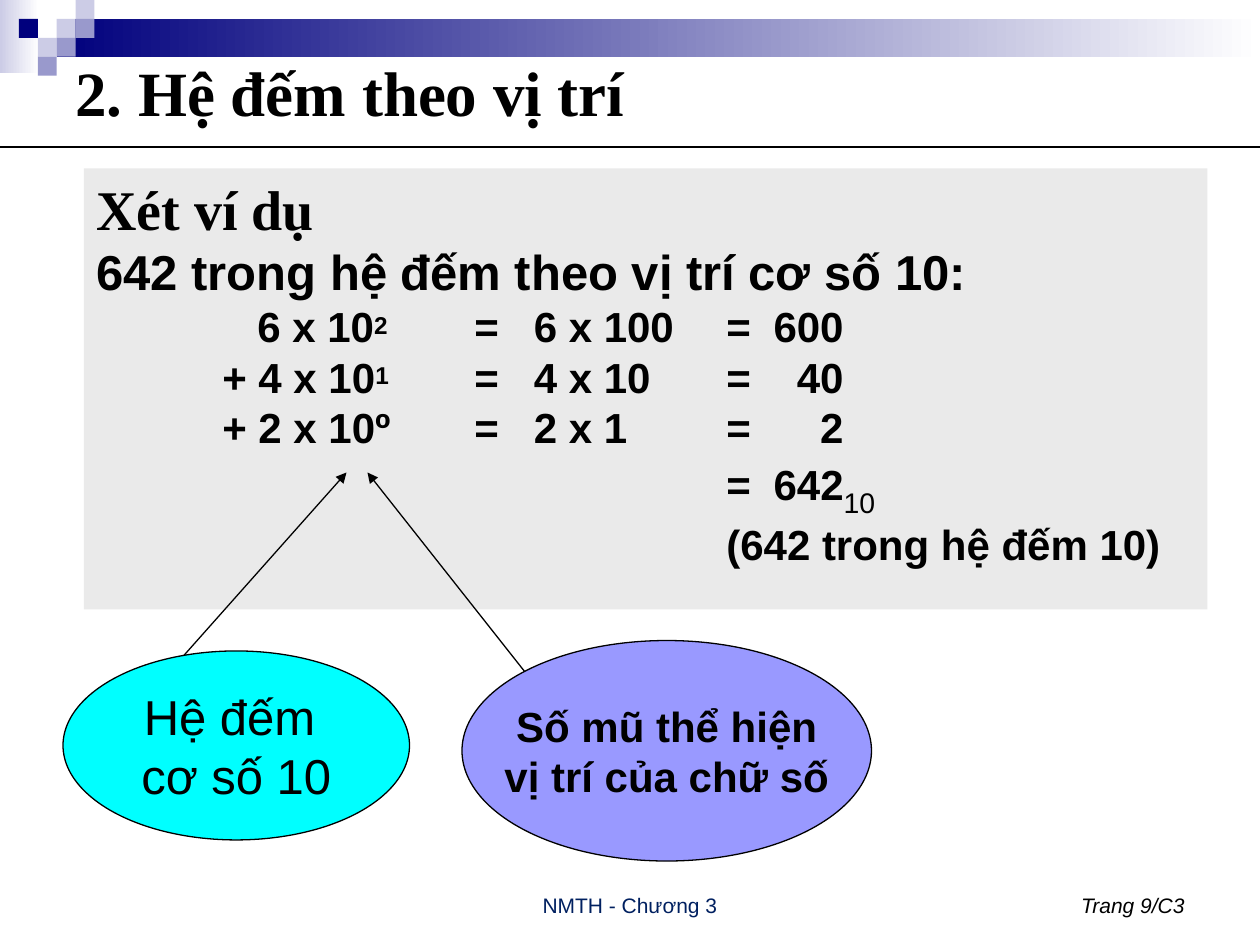
from dataclasses import dataclass

from lxml import etree
from pptx import Presentation
from pptx.dml.color import RGBColor
from pptx.enum.shapes import MSO_CONNECTOR, MSO_SHAPE
from pptx.enum.text import MSO_ANCHOR, PP_ALIGN
from pptx.oxml.ns import qn
from pptx.util import Pt

RECTANGLE, OVAL = MSO_SHAPE.RECTANGLE, MSO_SHAPE.OVAL
STRAIGHT = MSO_CONNECTOR.STRAIGHT
TOP, MIDDLE, BOTTOM = MSO_ANCHOR.TOP, MSO_ANCHOR.MIDDLE, MSO_ANCHOR.BOTTOM
LEFT, CENTER, RIGHT = PP_ALIGN.LEFT, PP_ALIGN.CENTER, PP_ALIGN.RIGHT


@dataclass(frozen=True)
class Theme:
    serif: str = "Times New Roman"
    sans: str = "Arial"
    ink: str = "000000"
    paper: str = "FFFFFF"
    navy: str = "00007D"
    lavender: str = "CCCCE6"
    violet: str = "9999CC"
    panel: str = "EAEAEA"
    cyan: str = "00FFFF"
    periwinkle: str = "9999FF"
    footer_blue: str = "002060"
    title: int = 36
    heading: int = 32
    large: int = 28
    body: int = 24
    footer: int = 12
    line: float = 0.75


class SlideBuilder:
    def __init__(self, slide, theme):
        self.slide = slide
        self.theme = theme

    def shape(self, kind, area, fill, fade_to=None, outlined=False):
        """Add a preset shape; fade_to makes the fill a left-to-right gradient."""
        shape = self.slide.shapes.add_shape(kind, *map(Pt, area))
        shape.shadow.inherit = False
        if fade_to:
            shape.fill.gradient()
            shape.fill.gradient_angle = 0
            for stop, color in zip(shape.fill.gradient_stops, (fill, fade_to)):
                stop.color.rgb = RGBColor.from_string(color)
        else:
            shape.fill.solid()
            shape.fill.fore_color.rgb = RGBColor.from_string(fill)
        if outlined:
            shape.line.color.rgb = RGBColor.from_string(self.theme.ink)
            shape.line.width = Pt(self.theme.line)
        else:
            shape.line.fill.background()
        return shape

    def text_box(self, area, anchor):
        box = self.slide.shapes.add_textbox(*map(Pt, area))
        self.frame(box, anchor)
        return box

    def frame(self, box, anchor, wrap=True):
        box.text_frame.word_wrap = wrap
        box.text_frame.vertical_anchor = anchor

    def para(self, box, align=LEFT, tabs=()):
        """Start a paragraph; tabs are (position in points, alignment) pairs."""
        text_frame = box.text_frame
        first = text_frame.paragraphs[0]
        para = text_frame.add_paragraph() if first.runs else first
        para.alignment = align
        if tabs:
            tab_list = etree.SubElement(para._p.get_or_add_pPr(), qn("a:tabLst"))
            for position, side in tabs:
                etree.SubElement(tab_list, qn("a:tab"), pos=str(Pt(position)), algn=side)
        return para

    def span(self, para, text, size, bold=False, italic=False, font=None, color=None, shift=0):
        """Add a run; shift is the baseline offset in percent."""
        span = para.add_run()
        span.text = text
        span.font.name = font or self.theme.sans
        span.font.size = Pt(size)
        span.font.bold = bold
        span.font.italic = italic
        span.font.color.rgb = RGBColor.from_string(color or self.theme.ink)
        if shift:
            span.font._element.set("baseline", str(shift * 1000))

    def line(self, start, end, arrow=False):
        line = self.slide.shapes.add_connector(STRAIGHT, *map(Pt, start + end))
        line.line.color.rgb = RGBColor.from_string(self.theme.ink)
        line.line.width = Pt(self.theme.line)
        if arrow:
            etree.SubElement(line.line._get_or_add_ln(), qn("a:tailEnd"), type="triangle")
        etree.SubElement(line._element.spPr, qn("a:effectLst"))

    def callout(self, area, fill, lines, size, bold, start, tip):
        self.line(start, tip, arrow=True)
        bubble = self.shape(OVAL, area, fill, outlined=True)
        self.frame(bubble, MIDDLE, wrap=False)
        for text in lines:
            self.span(self.para(bubble, CENTER), text, size, bold)


def add_banner(builder):
    theme = builder.theme
    cell = 10.8
    builder.shape(RECTANGLE, (0, 0, 22.3, 41.8), theme.lavender, theme.paper)
    builder.shape(RECTANGLE, (3 * cell, cell, 720 - 3 * cell, 2 * cell), theme.navy, theme.paper)
    squares = (
        (3, 1, theme.lavender), (4, 0, theme.lavender), (4, 1, theme.violet),
        (2, 2, theme.lavender), (1, 1, theme.navy), (3, 2, theme.violet),
        (2, 3, theme.violet),
    )
    for column, row, color in squares:
        builder.shape(RECTANGLE, (column * cell, row * cell, cell, cell), color)


def add_title(builder):
    theme = builder.theme
    title = builder.text_box((36, 18, 648, 68.4), MIDDLE)
    builder.span(builder.para(title), "2. Hệ đếm theo vị trí", theme.title, True, font=theme.serif)
    builder.line((0, 84), (720, 84))


def add_example(builder):
    theme = builder.theme
    panel = builder.shape(RECTANGLE, (48, 96.3, 642, 252), theme.panel)
    builder.frame(panel, TOP)
    builder.span(builder.para(panel), "Xét ví dụ", theme.heading, True, font=theme.serif)
    builder.span(builder.para(panel), "642 trong hệ đếm theo vị trí cơ số 10:", theme.large, True)

    sign, digit, equals, product, result, value_left, value_right = 72, 92, 216, 250, 360, 387, 427
    term_tabs = [(stop, "l") for stop in (sign, digit, equals, product, result)]
    term_tabs.append((value_right, "r"))
    terms = (
        ("\t\t6 x 10", "2", "\t=\t6 x 100\t=\t600"),
        ("\t+ 4 x 10", "1", "\t=\t4 x 10\t=\t40"),
        ("\t+ 2 x 10º", "", "\t=\t2 x 1\t=\t2"),
    )
    for term, exponent, expansion in terms:
        para = builder.para(panel, tabs=term_tabs)
        builder.span(para, term, theme.body, True)
        if exponent:
            builder.span(para, exponent, theme.body, True, shift=20)
        builder.span(para, expansion, theme.body, True)

    total_tabs = ((result, "l"), (value_left, "l"))
    total = builder.para(panel, tabs=total_tabs)
    builder.span(total, "\t=\t642", theme.body, True)
    builder.span(total, "10", theme.large, shift=-25)
    remark = builder.para(panel, tabs=total_tabs)
    builder.span(remark, "\t(642 trong hệ đếm 10)", theme.body, True)


def add_callouts(builder):
    theme = builder.theme
    builder.callout((36, 372, 198, 108), theme.cyan, ("Hệ đếm ", "cơ số 10"),
                    theme.large, False, (102, 378), (198, 270))
    builder.callout((264, 366, 234, 126), theme.periwinkle,
                    ("Số mũ thể hiện", "vị trí của chữ số"),
                    theme.body, True, (300, 384), (210, 270))


def add_footer(builder):
    theme = builder.theme
    chapter = builder.text_box((246, 492, 228, 36), BOTTOM)
    builder.span(builder.para(chapter, CENTER), "NMTH - Chương 3", theme.footer,
                 color=theme.footer_blue)
    page = builder.text_box((516, 492, 168, 36), BOTTOM)
    builder.span(builder.para(page, RIGHT), "Trang 9/C3", theme.footer, italic=True)


def main():
    deck = Presentation()
    deck.slide_width, deck.slide_height = Pt(720), Pt(540)
    builder = SlideBuilder(deck.slides.add_slide(deck.slide_layouts[6]), Theme())
    add_banner(builder)
    add_title(builder)
    add_example(builder)
    add_callouts(builder)
    add_footer(builder)
    deck.save("out.pptx")


if __name__ == "__main__":
    main()
